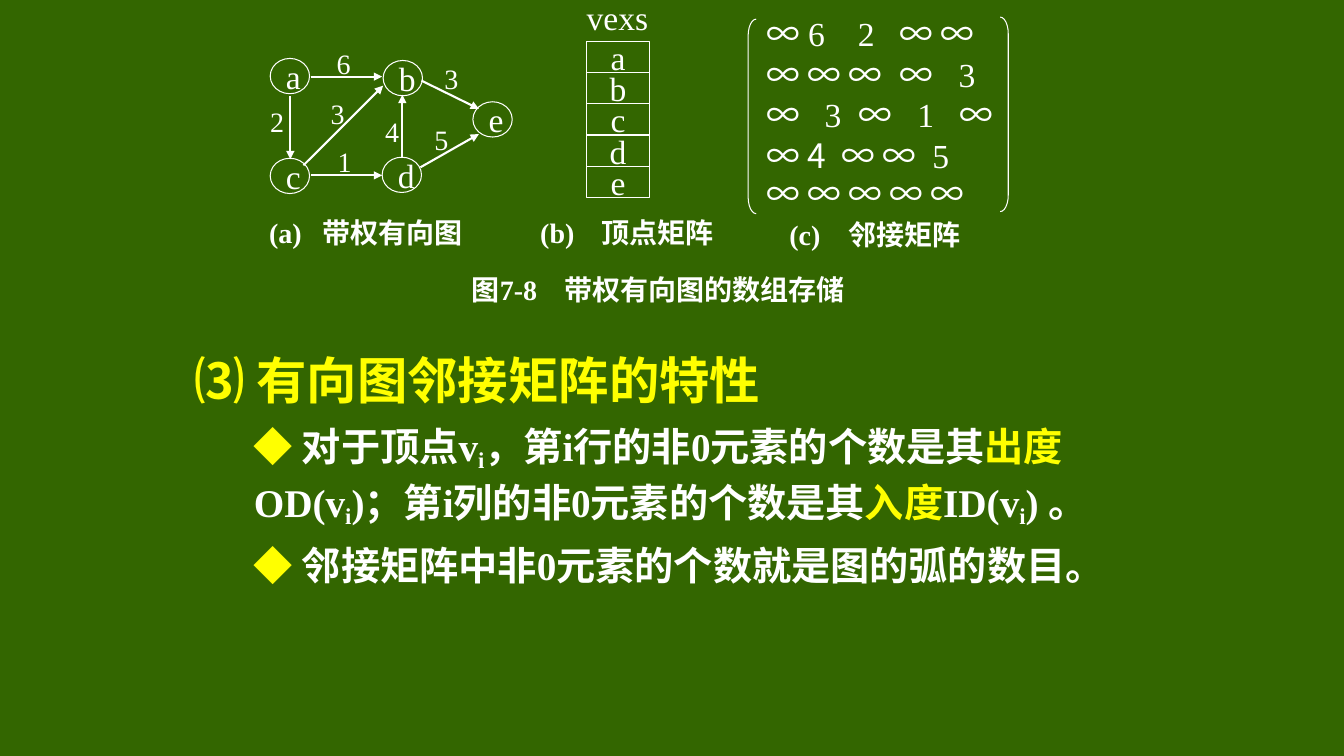
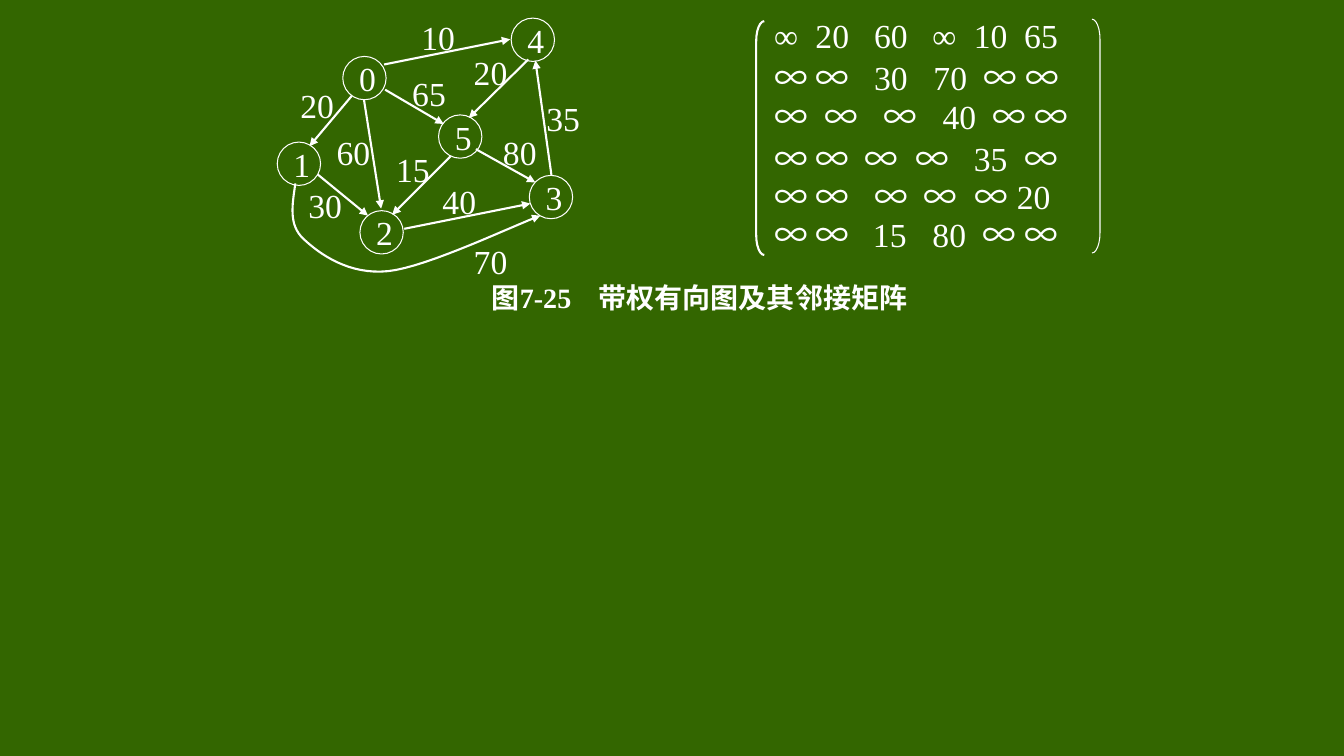
from dataclasses import dataclass

from lxml import etree
from pptx import Presentation
from pptx.dml.color import RGBColor
from pptx.enum import shapes, text
from pptx.oxml.ns import qn
from pptx.util import Inches, Pt


@dataclass(frozen=True)
class Theme:
    board: RGBColor = RGBColor(0x33, 0x66, 0x00)
    chalk: RGBColor = RGBColor(0xFF, 0xFF, 0xFF)
    accent: RGBColor = RGBColor(0xFF, 0xFF, 0x00)
    serif: str = "Times New Roman"
    sans: str = "Noto Sans CJK SC"
    heading: int = 36
    body: int = 28
    figure: int = 24
    caption: int = 20
    thin: float = 0.75
    thick: float = 1.5


THEME = Theme()

# Captions: parts, left, top, width, offset of the second part
ARRAY_CAPTIONS = [
    (("(a)", "带权有向图"), 2.57, 2.13, 2.2, 0.53),
    (("(b)", "顶点矩阵"), 5.26, 2.13, 2, 0.61),
    (("(c)", "邻接矩阵"), 7.73, 2.15, 2, 0.59),
    (("图7-8", "带权有向图的数组存储"), 4.58, 2.69, 3.95, 0.92),
]
NETWORK_CAPTIONS = [(("图7-25", "带权有向图及其邻接矩阵"), 4.78, 2.77, 4.4, 1.06)]

# Graphs: nodes are name, left, top; arcs are weight, label corner, start, end
ARRAY_GRAPH = {
    "node_size": (0.39, 0.35),
    "label_size": (0.31, 0.31),
    "label_pt": THEME.caption,
    "nodes": [("a", 2.68, 0.58), ("b", 3.8, 0.6), ("c", 2.68, 1.57),
              ("d", 3.79, 1.56), ("e", 4.69, 1.01)],
    "arcs": [
        ("6", (3.24, 0.47), (3.08, 0.76), (3.79, 0.76)),
        ("2", (2.58, 1.05), (2.88, 0.95), (2.88, 1.58)),
        ("3", (3.18, 0.97), (3.01, 1.64), (3.8, 0.85)),
        ("1", (3.25, 1.45), (3.08, 1.74), (3.79, 1.74)),
        ("4", (3.72, 1.15), (3.99, 1.57), (3.99, 0.94)),
        ("3", (4.31, 0.62), (4.18, 0.8), (4.75, 1.08)),
        ("5", (4.21, 1.23), (4.17, 1.66), (4.75, 1.33)),
    ],
}
NETWORK_GRAPH = {
    "node_size": (0.43, 0.43),
    "label_size": (0.51, 0.39),
    "label_pt": THEME.figure,
    "nodes": [("0", 3.4, 0.56), ("1", 2.75, 1.41), ("2", 3.57, 2.09),
              ("3", 5.25, 1.74), ("4", 5.07, 0.18), ("5", 4.35, 1.14)],
    "arcs": [
        ("20", (2.88, 0.85), (3.49, 0.95), (3.07, 1.45)),
        ("30", (2.96, 1.84), (3.15, 1.73), (3.65, 2.14)),
        ("60", (3.24, 1.31), (3.61, 0.99), (3.78, 2.07)),
        ("65", (3.99, 0.73), (3.82, 0.89), (4.4, 1.23)),
        ("15", (3.83, 1.48), (4.47, 1.55), (3.89, 2.13)),
        ("20", (4.6, 0.52), (5.24, 0.59), (4.65, 1.17)),
        ("10", (4.08, 0.17), (3.81, 0.64), (5.06, 0.39)),
        ("80", (4.89, 1.31), (4.72, 1.48), (5.31, 1.81)),
        ("40", (4.29, 1.8), (4.01, 2.27), (5.26, 2.02)),
        ("35", (5.32, 0.98), (5.47, 1.74), (5.31, 0.6)),
    ],
}
# The arc from 1 to 3 bends below the graph: start, then cubic segments
BENT_ARC_LABEL = ("70", (4.6, 2.39))
BENT_ARC_START = (2.93, 1.82)
BENT_ARC_SEGMENTS = [
    ((2.9, 2.03), (2.86, 2.23), (3.01, 2.37)),
    ((3.17, 2.52), (3.46, 2.73), (3.85, 2.69)),
    ((4.24, 2.65), (5.11, 2.23), (5.36, 2.14)),
]

VERTICES = ["a", "b", "c", "d", "e"]

# Matrices: rows are top, entries with | at each tab stop, offsets of the stops;
# brackets are preset, left, top, line width
ARRAY_MATRIX = {
    "left": 7.5, "width": 2.4, "bracket_height": 1.93, "bracket_bend": 2.06,
    "brackets": [("LEFT_BRACKET", 7.42, 0.19, THEME.thin),
                 ("RIGHT_BRACKET", 9.92, 0.17, THEME.thin)],
    "rows": [
        (0.15, "∞ 6|2|∞ ∞", (0.91, 1.32)),
        (0.56, "∞ ∞ ∞|∞|3", (1.32, 1.91)),
        (0.96, "∞|3|∞|1|∞", (0.58, 0.92, 1.5, 1.92)),
        (1.36, "∞ 4|∞ ∞|5", (0.75, 1.65)),
        (1.74, "∞ ∞ ∞ ∞ ∞", ()),
    ],
    "sans_entries": {"∞", "4"},
    "serif_rows": (),
}
NETWORK_MATRIX = {
    "left": 7.58, "width": 3.19, "bracket_height": 2.32, "bracket_bend": 2.48,
    "brackets": [("LEFT_BRACKET", 7.5, 0.21, THEME.thick),
                 ("RIGHT_BRACKET", 10.83, 0.19, THEME.thin)],
    "rows": [
        (0.17, "∞|20|60|∞|10|65", (0.41, 0.99, 1.57, 1.98, 2.48)),
        (0.59, "∞ ∞|30|70|∞ ∞", (0.99, 1.58, 2.08)),
        (0.98, "∞|∞|∞|40|∞ ∞", (0.5, 1.08, 1.67, 2.17)),
        (1.39, "∞ ∞|∞|∞|35|∞", (0.9, 1.4, 1.98, 2.48)),
        (1.77, "∞ ∞|∞|∞|∞ 20", (0.99, 1.48, 1.99)),
        (2.15, "∞ ∞|15|80|∞ ∞", (0.98, 1.57, 2.07)),
    ],
    "sans_entries": {"∞"},
    "serif_rows": (0,),
}

# Properties: each run is text and role
HEADING = [("⑶ ", "mark"), ("有向图邻接矩阵的特性", "accent")]
PROPERTIES = [
    [("◆ ", "mark"), ("对于顶点v", "plain"), ("i", "sub"),
     ("，第i行的非0元素的个数是其", "plain"), ("出度", "accent"),
     ("OD(v", "plain"), ("i", "sub"),
     (")；第i列的非0元素的个数是其", "plain"), ("入度", "accent"),
     ("ID(v", "plain"), ("i", "sub"), (") 。", "plain")],
    [("◆ ", "mark"), ("邻接矩阵中非0元素的个数就是图的弧的数目。", "plain")],
]


def style_run(run, size, color=THEME.chalk, face=THEME.serif, bold=False):
    run.font.size, run.font.bold = Pt(size), bold
    run.font.color.rgb = color
    run.font.name = face
    latin = run.font._element.find(qn("a:latin"))
    latin.addnext(etree.Element(qn("a:ea"), typeface=THEME.sans))


def set_tabs(paragraph, offsets):
    tabs = etree.SubElement(paragraph._p.get_or_add_pPr(), qn("a:tabLst"))
    for offset in offsets:
        etree.SubElement(tabs, qn("a:tab"), pos=str(Inches(offset)), algn="l")


def add_line_box(slide, left, top, width, height, wrap):
    """Add a one-line text box centred in height and return its text frame."""
    box = slide.shapes.add_textbox(*map(Inches, (left, top, width, height)))
    frame = box.text_frame
    frame.word_wrap = wrap
    frame.margin_right = 0
    frame.vertical_anchor = text.MSO_ANCHOR.MIDDLE
    return frame


def add_label(slide, words, left, top, width, height, size):
    frame = add_line_box(slide, left, top, width, height, wrap=False)
    frame.text = words
    style_run(frame.paragraphs[0].runs[0], size)


def add_tabbed_line(slide, parts, left, top, width, offsets, size, bold=False):
    """Add one line of (words, face) parts, with a tab stop at each offset."""
    paragraph = add_line_box(slide, left, top, width, 0.35, wrap=True).paragraphs[0]
    if offsets:
        set_tabs(paragraph, offsets)
    for words, face in parts:
        run = paragraph.add_run()
        run.text = words
        style_run(run, size, face=face, bold=bold)


def outline(shape, width):
    shape.shadow.inherit = False
    shape.fill.background()
    shape.line.color.rgb = THEME.chalk
    shape.line.width = Pt(width)


def add_outlined(slide, preset, left, top, width, height, line=THEME.thin):
    shape = slide.shapes.add_shape(
        getattr(shapes.MSO_SHAPE, preset), *map(Inches, (left, top, width, height)))
    outline(shape, line)
    return shape


def add_named(slide, preset, name, left, top, size, align):
    frame = add_outlined(slide, preset, left, top, *size).text_frame
    frame.word_wrap = False
    frame.vertical_anchor = text.MSO_ANCHOR.MIDDLE
    frame.text = name
    frame.paragraphs[0].alignment = align
    style_run(frame.paragraphs[0].runs[0], THEME.figure)


def add_arrowhead(line):
    etree.SubElement(line._get_or_add_ln(), qn("a:tailEnd"), type="triangle")


def draw_graph(slide, graph):
    for name, left, top in graph["nodes"]:
        add_named(slide, "OVAL", name, left, top, graph["node_size"],
                  text.PP_ALIGN.LEFT)
    for weight, corner, start, end in graph["arcs"]:
        add_label(slide, weight, *corner, *graph["label_size"], graph["label_pt"])
        arc = slide.shapes.add_connector(
            shapes.MSO_CONNECTOR.STRAIGHT, *map(Inches, start + end))
        arc.line.color.rgb = THEME.chalk
        arc.line.width = Pt(THEME.thick)
        add_arrowhead(arc.line)
        etree.SubElement(arc._element.spPr, qn("a:effectLst"))


def cubic_points(start, segments, steps=16):
    for first, second, end in segments:
        for step in range(1, steps + 1):
            t = step / steps
            weights = ((1 - t) ** 3, 3 * t * (1 - t) ** 2, 3 * t * t * (1 - t), t ** 3)
            yield tuple(
                Inches(sum(w * p[axis] for w, p in
                           zip(weights, (start, first, second, end))))
                for axis in (0, 1))
        start = end


def draw_bent_arc(slide):
    builder = slide.shapes.build_freeform(*map(Inches, BENT_ARC_START))
    builder.add_line_segments(
        cubic_points(BENT_ARC_START, BENT_ARC_SEGMENTS), close=False)
    arc = builder.convert_to_shape()
    outline(arc, THEME.thick)
    add_arrowhead(arc.line)
    weight, corner = BENT_ARC_LABEL
    add_label(slide, weight, *corner, *NETWORK_GRAPH["label_size"], THEME.figure)


def draw_vertex_array(slide, left=5.82, top=0.41, size=(0.62, 0.31)):
    add_label(slide, "vexs", 5.72, -0.01, 0.79, 0.35, THEME.figure)
    for index, name in enumerate(VERTICES):
        add_named(slide, "RECTANGLE", name, left, top + index * size[1], size,
                  text.PP_ALIGN.CENTER)


def draw_matrix(slide, matrix):
    for index, (top, row, offsets) in enumerate(matrix["rows"]):
        sans = set() if index in matrix["serif_rows"] else matrix["sans_entries"]
        parts = []
        for group in row.split("|"):
            lead = "\t" if parts else ""
            for entry in group.split():
                face = THEME.sans if entry in sans else THEME.serif
                parts.append((lead + entry, face))
                lead = " "
        add_tabbed_line(slide, parts, matrix["left"], top, matrix["width"],
                        offsets, THEME.figure)
    for preset, left, top, line in matrix["brackets"]:
        bracket = add_outlined(slide, preset, left, top, 0.08,
                               matrix["bracket_height"], line)
        bracket.adjustments[0] = matrix["bracket_bend"]


def draw_captions(slide, captions):
    for (number, title), left, top, width, offset in captions:
        add_tabbed_line(slide, [(number + "\t" + title, THEME.serif)],
                        left, top, width, [offset], THEME.caption, bold=True)


def draw_properties(slide):
    box = slide.shapes.add_textbox(*map(Inches, (1.83, 3.35, 9.64, 2.52)))
    frame = box.text_frame
    frame.word_wrap = True
    for index, runs in enumerate([HEADING, *PROPERTIES]):
        paragraph = frame.add_paragraph() if index else frame.paragraphs[0]
        paragraph.line_spacing = 1.1
        if index:
            paragraph.space_before = Pt(5.6)
            paragraph.level = 1
            paragraph._p.get_or_add_pPr().set("marL", str(Inches(0.59)))
            paragraph._p.get_or_add_pPr().set("indent", "0")
        for words, role in runs:
            run = paragraph.add_run()
            run.text = words
            style_run(run, THEME.body if index else THEME.heading,
                      THEME.accent if role in ("mark", "accent") else THEME.chalk,
                      THEME.sans if role == "mark" else THEME.serif, bold=True)
            if role == "sub":
                run.font._element.set("baseline", "-18000")


def main():
    deck = Presentation()
    deck.slide_width, deck.slide_height = Inches(13.33), Inches(7.5)
    board = deck.slide_master.background.fill
    board.solid()
    board.fore_color.rgb = THEME.board
    for graph, matrix, captions, extras in (
            (ARRAY_GRAPH, ARRAY_MATRIX, ARRAY_CAPTIONS,
             (draw_vertex_array, draw_properties)),
            (NETWORK_GRAPH, NETWORK_MATRIX, NETWORK_CAPTIONS, (draw_bent_arc,))):
        slide = deck.slides.add_slide(deck.slide_layouts[6])
        draw_graph(slide, graph)
        draw_matrix(slide, matrix)
        draw_captions(slide, captions)
        for draw in extras:
            draw(slide)
    deck.save("out.pptx")


if __name__ == "__main__":
    main()
